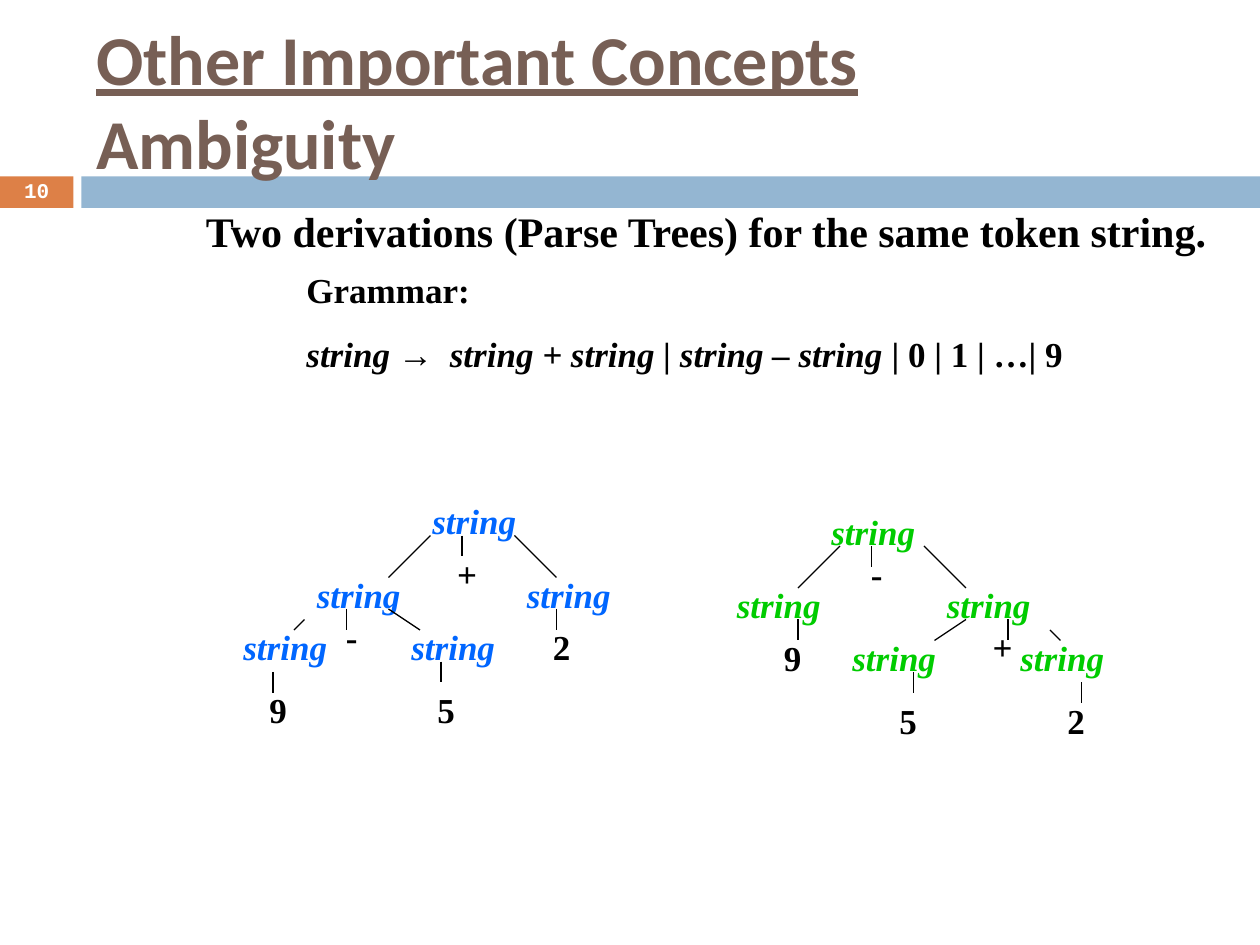
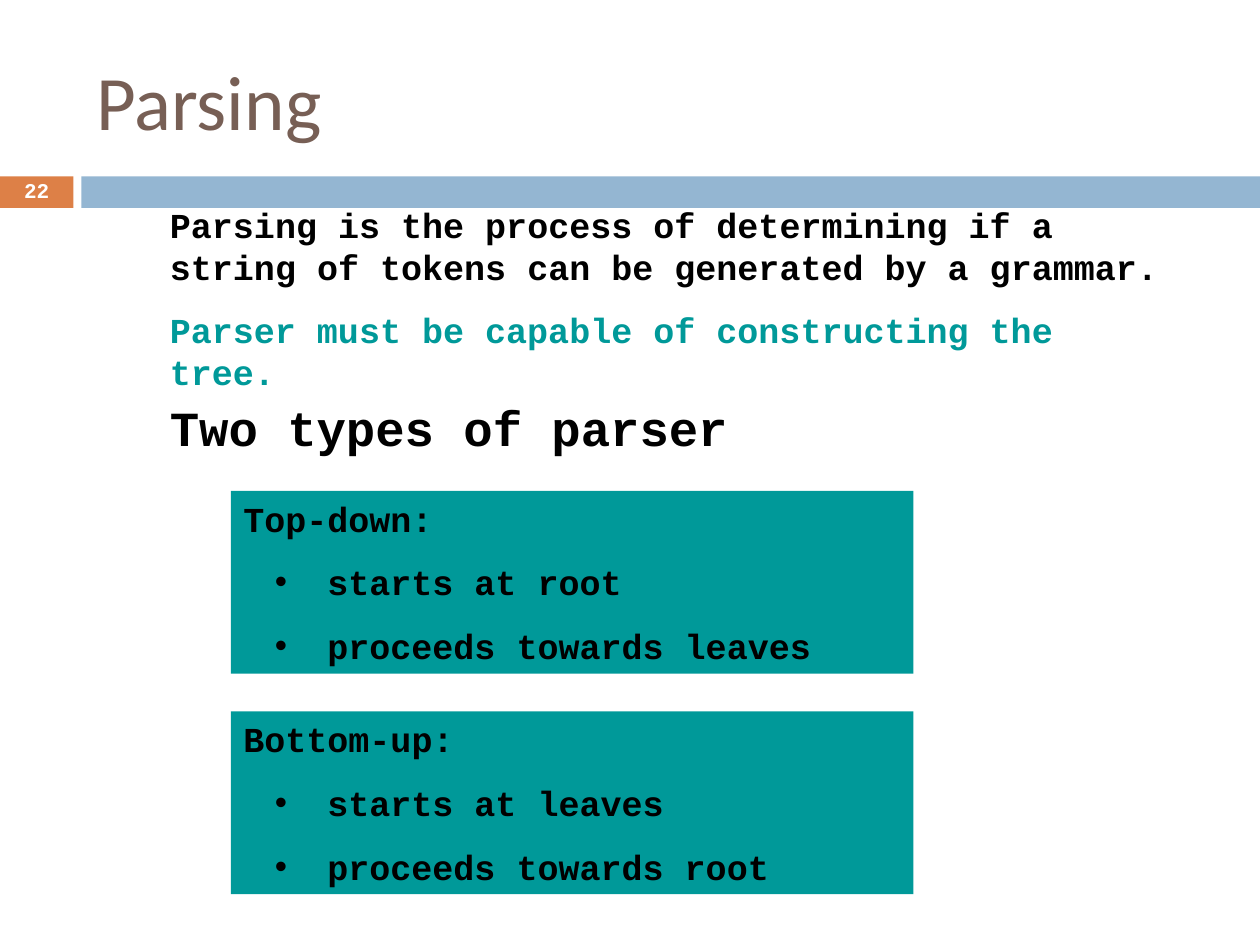
from lxml import etree
from pptx import Presentation
from pptx.dml.color import RGBColor
from pptx.enum import shapes, text
from pptx.oxml import ns
from pptx.util import Pt

# Shared look
ORANGE, BAND_BLUE, BROWN = "DD8047", "94B6D2", "775F55"
TEAL, BLUE, GREEN, BLACK, WHITE = "009999", "0066FF", "00CC00", "000000", "FFFFFF"
SERIF, MONO, SANS, TITLE_FONT = "Times New Roman", "Courier New", "Arial", "Calibri"
PARAGRAPH_GAP = 12.5
LEFT, CENTER = text.PP_ALIGN.LEFT, text.PP_ALIGN.CENTER

# Parse trees, on a grid of 6 points: (left, top) of nodes, then branches
GRID = 6
NINE_MINUS_FIVE_FIRST = {
    "color": BLUE,
    "strings": [(40, 47), (29, 54), (49, 54), (22, 59), (38, 59)],
    "tokens": [("+", 42, 52), ("-", 31, 58), ("2", 51, 59), ("9", 24, 65), ("5", 40, 65)],
    "branches": [(41, 51, 37, 55), (44, 51, 44, 53), (49, 51, 53, 55),
                 (29, 59, 28, 60), (33, 58, 33, 60), (37, 58, 40, 60),
                 (53, 58, 53, 60), (26, 64, 26, 66), (42, 63, 42, 65)],
}
FIVE_PLUS_TWO_FIRST = {
    "color": GREEN,
    "strings": [(78, 48), (69, 55), (89, 55), (80, 60), (96, 60)],
    "tokens": [("-", 81, 52), ("9", 73, 60), ("+", 93, 59), ("5", 84, 66), ("2", 100, 66)],
    "branches": [(80, 52, 76, 56), (83, 52, 83, 54), (88, 52, 92, 56),
                 (76, 59, 76, 61), (92, 59, 89, 61), (96, 59, 96, 61),
                 (100, 60, 101, 61), (87, 64, 87, 66), (103, 65, 103, 67)],
}


def rgb(color):
    return RGBColor.from_string(color)


def add_run(paragraph, words, size=20, font=SERIF, color=BLACK, bold=True,
            italic=False, underline=False):
    run = paragraph.add_run()
    run.text = words
    run.font.size, run.font.name = Pt(size), font
    run.font.bold, run.font.italic, run.font.underline = bold, italic, underline
    run.font.color.rgb = rgb(color)


def add_text(parent, box, words="", align=LEFT, wrap=True, **style):
    """Add a text box; words, if any, become its first run."""
    frame = parent.shapes.add_textbox(*map(Pt, box)).text_frame
    frame.word_wrap = wrap
    frame.paragraphs[0].alignment = align
    if words:
        add_run(frame.paragraphs[0], words, **style)
    return frame


def add_rectangle(slide, box, color):
    shape = slide.shapes.add_shape(shapes.MSO_SHAPE.RECTANGLE, *map(Pt, box))
    shape.shadow.inherit = False
    shape.fill.solid()
    shape.fill.fore_color.rgb = rgb(color)
    shape.line.fill.background()
    return shape.text_frame


def add_branch(parent, ends):
    branch = parent.shapes.add_connector(shapes.MSO_CONNECTOR.STRAIGHT, *map(Pt, ends))
    branch.line.color.rgb = rgb(BLACK)
    branch.line.width = Pt(0.75)
    etree.SubElement(branch._element.spPr, ns.qn("a:effectLst"))


def add_bullet(paragraph):
    properties = paragraph._p.get_or_add_pPr()
    properties.set("marL", str(Pt(48)))
    properties.set("indent", str(-Pt(30)))
    etree.SubElement(properties, ns.qn("a:buFont"), typeface=SANS)
    etree.SubElement(properties, ns.qn("a:buChar"), char="•")


def add_tree(slide, tree):
    group = slide.shapes.add_group_shape()
    for left, top in tree["strings"]:
        add_text(group, (left * GRID, top * GRID, 66, 31.5), "string",
                 color=tree["color"], italic=True)
    for token, left, top in tree["tokens"]:
        add_text(group, (left * GRID, top * GRID, 30, 31.5), token, CENTER)
    for ends in tree["branches"]:
        add_branch(group, [end * GRID for end in ends])


def add_parser_card(slide, top, heading, steps):
    frame = add_rectangle(slide, (132, top, 390, 104.5), TEAL)
    frame.word_wrap = True
    frame.vertical_anchor = text.MSO_ANCHOR.TOP
    frame.paragraphs[0].alignment = LEFT
    add_run(frame.paragraphs[0], heading, font=MONO)
    for step in steps:
        paragraph = frame.add_paragraph()
        paragraph.alignment = LEFT
        paragraph.space_before = Pt(PARAGRAPH_GAP)
        add_bullet(paragraph)
        add_run(paragraph, step, font=MONO)


def add_base_slide(presentation, number):
    """Add a slide with its bands and number; return it with its title paragraph."""
    slide = presentation.slides.add_slide(presentation.slide_layouts[6])
    number_frame = add_rectangle(slide, (0, 100.8, 42, 18), ORANGE)
    number_frame.margin_top = number_frame.margin_bottom = 0
    number_frame.vertical_anchor = text.MSO_ANCHOR.MIDDLE
    number_paragraph = number_frame.paragraphs[0]
    number_paragraph.alignment = CENTER
    number_paragraph.line_spacing = 0.8
    add_run(number_paragraph, number, size=12, font=MONO, color=WHITE)
    add_rectangle(slide, (46.5, 100.8, 673.5, 18), BAND_BLUE)
    title = add_text(slide, (48, 18, 642, 78))
    title.vertical_anchor = text.MSO_ANCHOR.MIDDLE
    return slide, title.paragraphs[0]


def build_ambiguity(presentation):
    slide, title = add_base_slide(presentation, "10")
    title_style = {"size": 40, "font": TITLE_FONT, "color": BROWN}
    add_run(title, "Other Important Concepts", underline=True, **title_style)
    title.add_line_break()
    add_run(title, "Ambiguity", **title_style)

    add_text(slide, (108, 114, 591, 36), "Two derivations (Parse Trees) for the same token string.",
             CENTER, wrap=False, size=24)

    # Grammar rule
    grammar = add_text(slide, (168, 150, 450, 68), "Grammar:")
    rule = grammar.add_paragraph()
    rule.space_before = Pt(PARAGRAPH_GAP)
    add_run(rule, "string", italic=True)
    add_run(rule, " ", size=18)
    add_run(rule, "→", font=SANS)
    add_run(rule, " ", size=18)
    add_run(rule, " string + string | string – string", italic=True)
    add_run(rule, " | 0 | 1 | …| 9")

    for tree in (NINE_MINUS_FIVE_FIRST, FIVE_PLUS_TWO_FIRST):
        add_tree(slide, tree)


def build_parsing(presentation):
    slide, title = add_base_slide(presentation, "22")
    add_run(title, "Parsing", size=44, font=TITLE_FONT, color=BROWN, bold=False)

    # Definition
    add_text(slide, (90, 113, 594, 55.5), "Parsing is the process of determining if a "
             "string of tokens can be generated by a grammar.", font=MONO)
    add_text(slide, (90, 173, 540, 55.5), "Parser must be capable of constructing the tree.",
             font=MONO, color=TEAL)
    add_text(slide, (90, 223.5, 450, 41), "Two types of parser", font=MONO, size=28)

    # Parser types
    add_parser_card(slide, 280.5, "Top-down:", ["starts at root", "proceeds towards leaves"])
    add_parser_card(slide, 406.5, "Bottom-up:", ["starts at leaves", "proceeds towards root"])


def main():
    presentation = Presentation()
    presentation.slide_width, presentation.slide_height = Pt(720), Pt(540)
    build_ambiguity(presentation)
    build_parsing(presentation)
    presentation.save("out.pptx")


if __name__ == "__main__":
    main()
